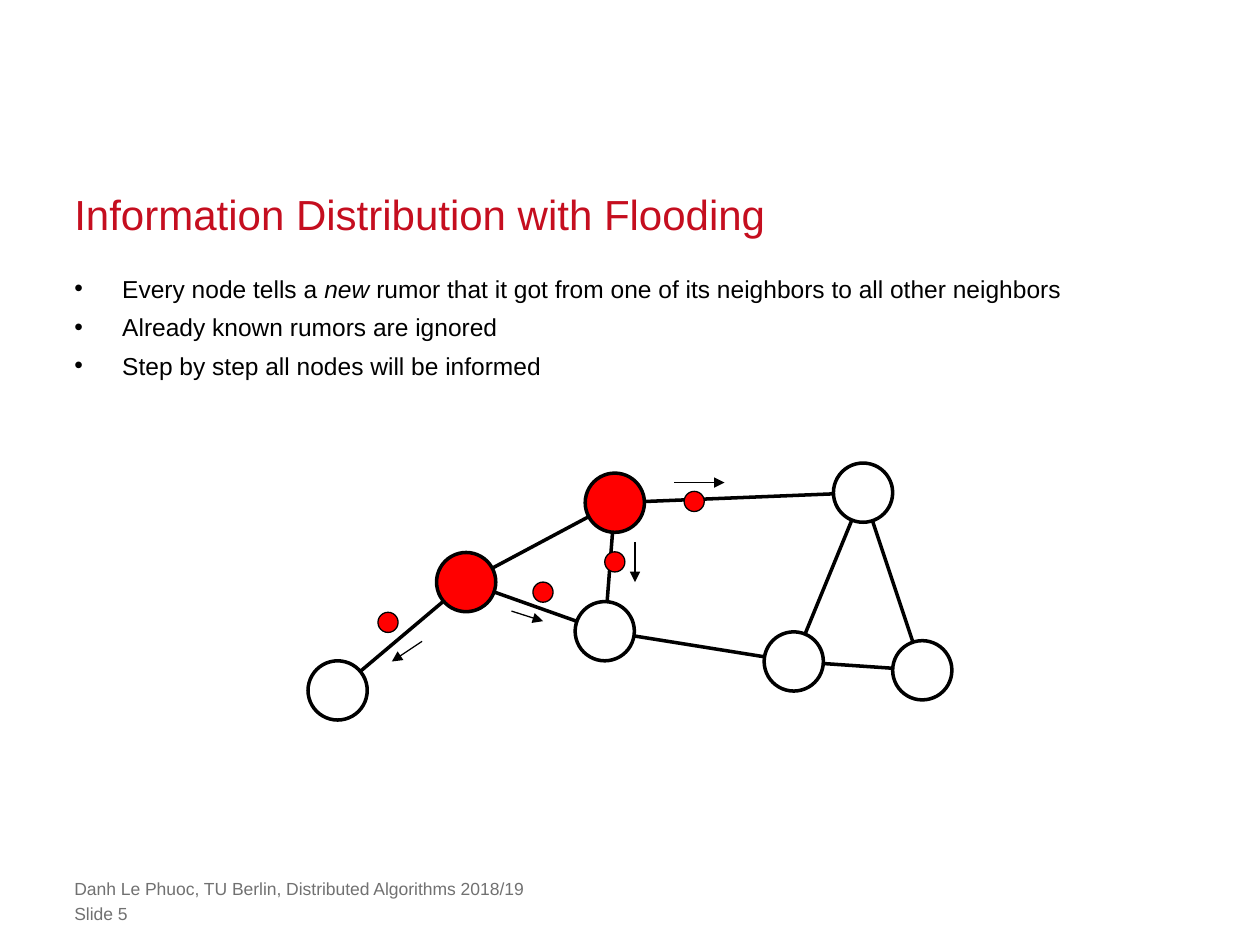
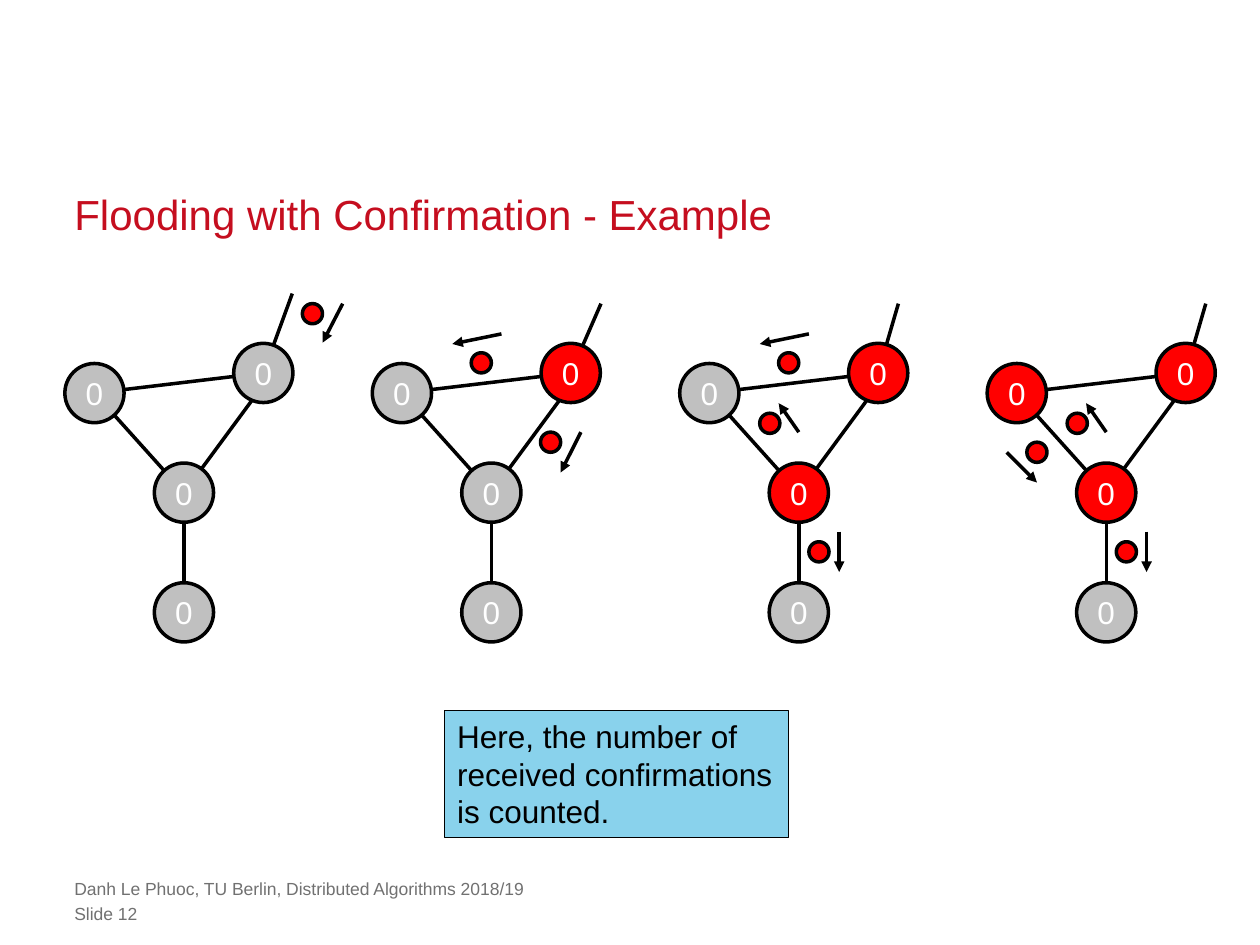
from dataclasses import dataclass

from lxml import etree
from pptx import Presentation
from pptx.dml.color import RGBColor
from pptx.enum.shapes import MSO_CONNECTOR, MSO_SHAPE
from pptx.enum.text import MSO_ANCHOR, MSO_AUTO_SIZE, PP_ALIGN
from pptx.oxml.ns import qn
from pptx.util import Inches, Pt

OVAL, RECT = MSO_SHAPE.OVAL, MSO_SHAPE.RECTANGLE
STRAIGHT = MSO_CONNECTOR.STRAIGHT
TOP, MIDDLE, BOTTOM = MSO_ANCHOR.TOP, MSO_ANCHOR.MIDDLE, MSO_ANCHOR.BOTTOM
LEFT, CENTER = PP_ALIGN.LEFT, PP_ALIGN.CENTER
NO_FIT = MSO_AUTO_SIZE.NONE

FONT = "Arial"
BLACK, WHITE, RED, GREY = "000000", "FFFFFF", "FF0000", "C0C0C0"
CRIMSON, SLATE, SKY = "C50E1F", "717171", "89D2EC"

# Shared measures in inches and points
MARGIN, WIDE = 0.59, 8.82
NODE, DOT = 0.47, 0.16
THICK, THIN = 2, 0.75
FOOTER = "Danh Le Phuoc, TU Berlin, Distributed Algorithms 2018/19"

Point = tuple[float, float]


@dataclass(frozen=True)
class Message:
    """A rumor on its way: the dot and the arrow beside it."""
    dot: Point
    tail: Point
    head: Point


@dataclass(frozen=True)
class Step:
    """One state of the example: entry line, informed nodes, messages."""
    entry: Point
    hot: str
    messages: tuple[Message, ...]


# Flooding: nodes, edges and messages
NET = {
    "a": (2.68, 5.48), "b": (3.7, 4.62), "c": (4.88, 3.99), "d": (4.8, 5.01),
    "e": (6.3, 5.25), "f": (6.85, 3.91), "g": (7.32, 5.32),
}
NET_EDGES = "ab bc bd cf cd de ef fg eg".split()
NET_MESSAGES = (
    Message((4.31, 4.7), (4.06, 4.85), (4.31, 4.93)),
    Message((5.51, 3.98), (5.35, 3.83), (5.75, 3.83)),
    Message((4.88, 4.46), (5.04, 4.3), (5.04, 4.62)),
    Message((3.08, 4.94), (3.35, 5.09), (3.11, 5.25)),
)
POINTS = (
    "Every node tells a *new* rumor that it got from one of its neighbors"
    " to all other neighbors",
    "Already known rumors are ignored",
    "Step by step all nodes will be informed",
)

# Confirmation example: four steps of one graph, side by side
GRAPH = {"a": (2.09, 2.96), "b": (0.75, 3.12), "c": (1.46, 3.91), "d": (1.46, 4.86)}
SIDE = (2.16, 2.96)
PITCH = 2.44
ENTER = Message((2.48, 2.49), (2.72, 2.41), (2.56, 2.72))
ACROSS = Message((1.38, 2.88), (1.54, 2.65), (1.15, 2.73))
INWARD = Message((1.93, 3.51), (2.17, 3.43), (2.01, 3.75))
DOWN = Message((1.62, 4.38), (1.78, 4.22), (1.78, 4.54))
UP = Message((1.23, 3.36), (1.46, 3.43), (1.3, 3.2))
BACK = Message((0.91, 3.59), (0.67, 3.59), (0.91, 3.83))
STEPS = (
    Step((2.32, 2.33), "", (ENTER,)),
    Step((2.33, 2.41), "a", (ACROSS, INWARD)),
    Step((2.25, 2.41), "ac", (ACROSS, DOWN, UP)),
    Step((2.25, 2.41), "abc", (DOWN, UP, BACK)),
)


def rgb(code: str) -> RGBColor:
    return RGBColor.from_string(code)


def style(par, size: float, color: str, align=LEFT) -> None:
    par.alignment = align
    for run in par.runs:
        run.font.name, run.font.size = FONT, Pt(size)
        run.font.color.rgb = rgb(color)


def frame(shape, anchor=TOP):
    """Clear the insets of a wrapped text frame."""
    text = shape.text_frame
    text.word_wrap, text.auto_size = True, NO_FIT
    text.vertical_anchor = anchor
    text.margin_left = text.margin_right = text.margin_top = text.margin_bottom = 0
    return text


def place(shape, top: float, high: float) -> None:
    shape.left, shape.top = Inches(MARGIN), Inches(top)
    shape.width, shape.height = Inches(WIDE), Inches(high)


def line(slide, start: Point, end: Point, width: float = THICK, arrow: bool = False) -> None:
    link = slide.shapes.add_connector(STRAIGHT, *(Inches(v) for v in (*start, *end)))
    link.line.color.rgb, link.line.width = rgb(BLACK), Pt(width)
    if arrow:
        etree.SubElement(link.line._get_or_add_ln(), qn("a:tailEnd"), type="triangle")
    etree.SubElement(link._element.spPr, qn("a:effectLst"))


def block(slide, kind, box: tuple[float, ...], fill: str, width: float):
    shape = slide.shapes.add_shape(kind, *(Inches(v) for v in box))
    shape.shadow.inherit = False
    shape.fill.solid()
    shape.fill.fore_color.rgb = rgb(fill)
    shape.line.color.rgb, shape.line.width = rgb(BLACK), Pt(width)
    return shape


def disc(slide, mid: Point, size: float, fill: str, width: float = THICK):
    box = (mid[0] - size / 2, mid[1] - size / 2, size, size)
    return block(slide, OVAL, box, fill, width)


def send(slide, msg: Message, width: float, dx: float = 0) -> None:
    dot, tail, head = (shift(p, dx) for p in (msg.dot, msg.tail, msg.head))
    line(slide, tail, head, width, arrow=True)
    disc(slide, dot, DOT, RED, width)


def shift(point: Point, dx: float) -> Point:
    return point[0] + dx, point[1]


def start(deck, layout: int, title: str, number: int):
    """Add a slide with the common title and footer."""
    slide = deck.slides.add_slide(deck.slide_layouts[layout])
    head = slide.shapes.title
    place(head, 1.48, 0.42)
    par = frame(head, BOTTOM).paragraphs[0]
    par.text, par.line_spacing = title, Pt(30)
    style(par, 24, CRIMSON)
    for top, words in ((6.97, FOOTER), (7.17, f"Slide {number}")):
        foot = slide.shapes.add_textbox(
            Inches(MARGIN), Inches(top), Inches(7.24), Inches(0.17))
        text = frame(foot)
        text.text = words
        style(text.paragraphs[0], 10, SLATE)
    return slide


def bullets(slide, items: tuple[str, ...]) -> None:
    """Fill the body; words between asterisks are italic."""
    body = slide.placeholders[1]
    place(body, 2.1, 4.45)
    text = frame(body)
    for i, item in enumerate(items):
        par = text.paragraphs[0] if i == 0 else text.add_paragraph()
        for j, part in enumerate(item.split("*")):
            run = par.add_run()
            run.text, run.font.italic = part, j % 2 == 1
        par.line_spacing, par.space_before = Pt(22), Pt(0)
        style(par, 14, BLACK)
        props = par._p.get_or_add_pPr()
        props.set("marL", str(Inches(0.38)))
        props.set("indent", str(-Inches(0.38)))
        etree.SubElement(props, qn("a:buChar"), char="•")


def flooding(deck) -> None:
    slide = start(deck, 1, "Information Distribution with Flooding", 5)
    bullets(slide, POINTS)
    for one, two in NET_EDGES:
        line(slide, NET[one], NET[two])
    for name, mid in NET.items():
        disc(slide, mid, NODE, RED if name in "bc" else WHITE)
    for msg in NET_MESSAGES:
        send(slide, msg, THIN)


def draw_step(slide, step: Step, dx: float) -> None:
    a, b, c, d = GRAPH.values()
    for one, two in ((a, step.entry), (d, c), (b, a), (c, SIDE), (c, b)):
        line(slide, shift(one, dx), shift(two, dx))
    for name, mid in GRAPH.items():
        node = disc(slide, shift(mid, dx), NODE, RED if name in step.hot else GREY)
        text = node.text_frame
        text.text, text.word_wrap = "0", False
        text.vertical_anchor = MIDDLE
        style(text.paragraphs[0], 18, WHITE, CENTER)
    for msg in step.messages:
        send(slide, msg, THICK, dx)


def example(deck) -> None:
    slide = start(deck, 5, "Flooding with Confirmation - Example", 12)
    for i, step in enumerate(STEPS):
        draw_step(slide, step, i * PITCH)
    # Remark below the graphs
    note = block(slide, RECT, (3.53, 5.64, 2.73, 1.01), SKY, THIN)
    text = note.text_frame
    text.word_wrap, text.vertical_anchor = False, TOP
    par = text.paragraphs[0]
    par.text = "Here, the number of\vreceived confirmations\vis counted."
    style(par, 18, BLACK)


def main() -> None:
    deck = Presentation()
    deck.slide_width, deck.slide_height = Inches(10), Inches(7.5)
    flooding(deck)
    example(deck)
    deck.save("out.pptx")


if __name__ == "__main__":
    main()
